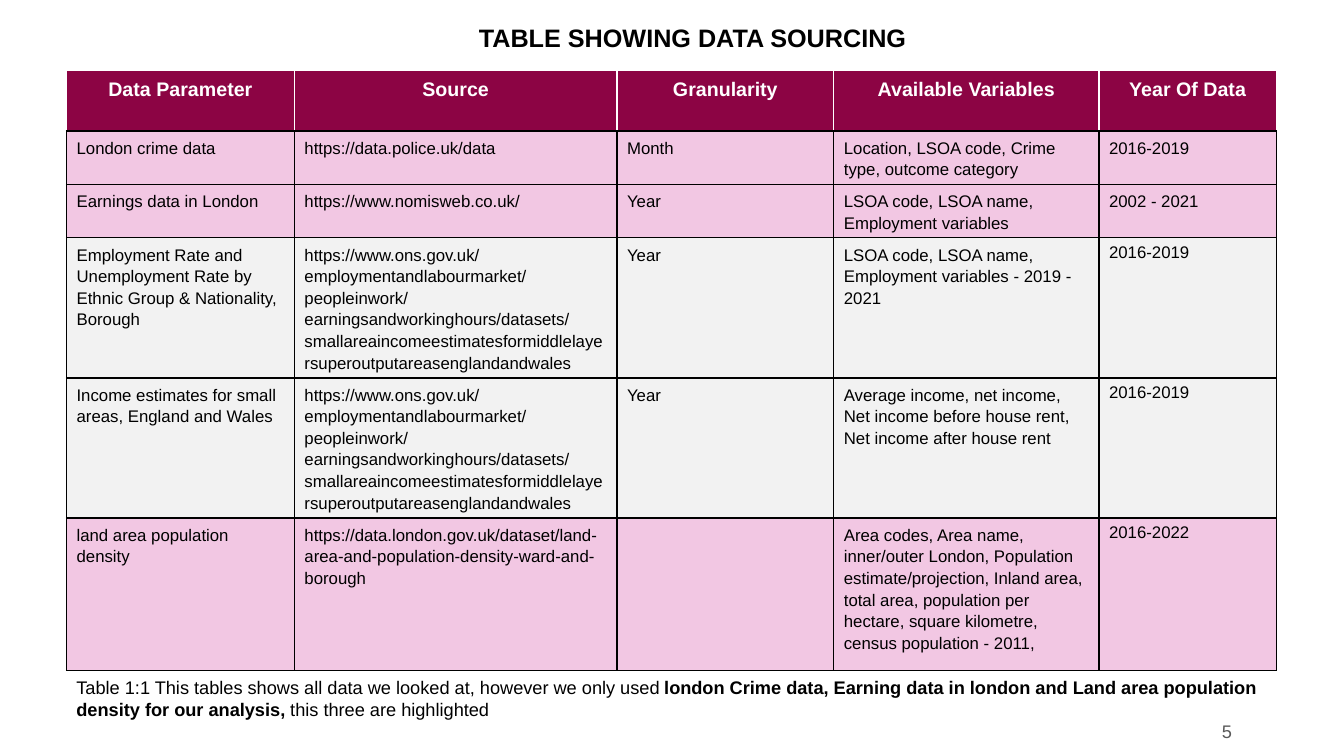
from lxml.etree import SubElement
from pptx import Presentation
from pptx.dml.color import RGBColor
from pptx.enum.text import MSO_ANCHOR, PP_ALIGN
from pptx.oxml.ns import qn
from pptx.util import Inches, Pt

BLACK = RGBColor(0x00, 0x00, 0x00)
WHITE = RGBColor(0xFF, 0xFF, 0xFF)
GREY = RGBColor(0x59, 0x59, 0x59)
MAROON = RGBColor(0x8C, 0x04, 0x44)
PINK = RGBColor(0xF2, 0xC7, 0xE3)
PALE = RGBColor(0xF2, 0xF2, 0xF2)

COLUMN_WIDTHS = [2.26, 3.2, 2.15, 2.63, 1.76]
ROW_HEIGHTS = [0.6, 0.53, 0.53, 1.39, 1.39, 1.51]
HIGHLIGHTED_ROWS = {1, 2, 5}
FIRST_TIGHT_YEAR = 3  # from this row on, the year is single spaced
HEADER_SPACING = 1.15
BODY_SPACING = Pt(15.45)  # exact, so that six lines fit the tall rows

INCOME_URL = (
    "https://www.ons.gov.uk/employmentandlabourmarket/peopleinwork/"
    "earningsandworkinghours/datasets/"
    "smallareaincomeestimatesformiddlelayersuperoutputareasenglandandwales"
)
SOURCES = [
    ["Data Parameter", "Source", "Granularity", "Available Variables", "Year Of Data"],
    ["London crime data", "https://data.police.uk/data", "Month",
     "Location, LSOA code, Crime type, outcome category", "2016-2019"],
    ["Earnings data in London", "https://www.nomisweb.co.uk/", "Year",
     "LSOA code, LSOA name, Employment variables", "2002 - 2021"],
    ["Employment Rate and Unemployment Rate by Ethnic Group & Nationality, Borough",
     INCOME_URL, "Year",
     "LSOA code, LSOA name, Employment variables - 2019 - 2021", "2016-2019"],
    ["Income estimates for small areas, England and Wales", INCOME_URL, "Year",
     "Average income, net income, Net income before house rent, "
     "Net income after house rent", "2016-2019"],
    ["land area population density",
     "https://data.london.gov.uk/dataset/land-area-and-population-density-ward-and-borough",
     "",
     "Area codes, Area name, inner/outer London, Population estimate/projection, "
     "Inland area, total area, population per hectare, square kilometre, "
     "census population - 2011,", "2016-2022"],
]


class SlideBuilder:
    """Holds the shared style and the slide being built."""

    font_name = "Arial"

    def __init__(self, slide):
        self.slide = slide

    def style(self, font, size, color, bold=False):
        settings = {"name": self.font_name, "size": Pt(size), "bold": bold}
        for key, value in settings.items():
            setattr(font, key, value)
        font.color.rgb = color

    def text(self, box, runs, size, color=BLACK, align=PP_ALIGN.LEFT,
             anchor=MSO_ANCHOR.TOP, inset=0.1):
        frame = self.slide.shapes.add_textbox(*map(Inches, box)).text_frame
        settings = {"word_wrap": True, "vertical_anchor": anchor,
                    "margin_top": Inches(inset), "margin_bottom": Inches(inset)}
        for key, value in settings.items():
            setattr(frame, key, value)
        paragraph = frame.paragraphs[0]
        paragraph.alignment = align
        for wording, bold in runs:
            run = paragraph.add_run()
            run.text = wording
            self.style(run.font, size, color, bold)

    def borders(self, cell, colors):
        properties = cell._tc.get_or_add_tcPr()
        for side, color in zip("LRTB", colors):
            line = SubElement(properties, qn(f"a:ln{side}"), w=str(Pt(1)))
            fill = SubElement(line, qn("a:solidFill"))
            SubElement(fill, qn("a:srgbClr"), val=str(color))

    def cell(self, cell, wording, is_header, fill, spacing):
        edge = WHITE if is_header else BLACK
        self.borders(cell, (edge, edge, edge, BLACK))
        cell.fill.solid()
        cell.fill.fore_color.rgb = fill
        cell.text = wording
        paragraph = cell.text_frame.paragraphs[0]
        paragraph.line_spacing = spacing
        paragraph.alignment = PP_ALIGN.CENTER if is_header else PP_ALIGN.LEFT
        font = paragraph.runs[0].font if wording else paragraph.font
        self.style(font, 14 if is_header else 12, WHITE if is_header else BLACK, is_header)

    def table(self, left, top, rows):
        box = (left, top, sum(COLUMN_WIDTHS), sum(ROW_HEIGHTS))
        table = self.slide.shapes.add_table(
            len(rows), len(COLUMN_WIDTHS), *map(Inches, box)).table
        for column, width in zip(table.columns, COLUMN_WIDTHS):
            column.width = Inches(width)
        for r, (row, height) in enumerate(zip(rows, ROW_HEIGHTS)):
            table.rows[r].height = Inches(height)
            fill = MAROON if r == 0 else PINK if r in HIGHLIGHTED_ROWS else PALE
            for c, wording in enumerate(row):
                is_tight = c == len(row) - 1 and r >= FIRST_TIGHT_YEAR
                spacing = HEADER_SPACING if r == 0 else 1.0 if is_tight else BODY_SPACING
                self.cell(table.cell(r, c), wording, r == 0, fill, spacing)


def main():
    presentation = Presentation()
    presentation.slide_width = Inches(13.33)
    presentation.slide_height = Inches(7.5)
    builder = SlideBuilder(presentation.slides.add_slide(presentation.slide_layouts[6]))

    # Heading
    builder.text((1.5, 0.12, 10.74, 0.5), [("TABLE SHOWING DATA SOURCING", True)],
                 18, align=PP_ALIGN.CENTER)

    # Data sources
    builder.table(0.66, 0.7, SOURCES)

    # Caption
    builder.text((0.66, 6.61, 12, 0.64), [
        ("Table 1:1 This tables shows all data we looked at, however we only used ", False),
        ("london Crime data, Earning data in london and Land area population density "
         "for our analysis,", True),
        (" this three are highlighted", False),
    ], 13)

    # Page number
    builder.text((12.02, 7.05, 0.85, 0.4), [("5", False)], 13, GREY,
                 anchor=MSO_ANCHOR.MIDDLE, inset=0.05)

    presentation.save("out.pptx")


if __name__ == "__main__":
    main()
